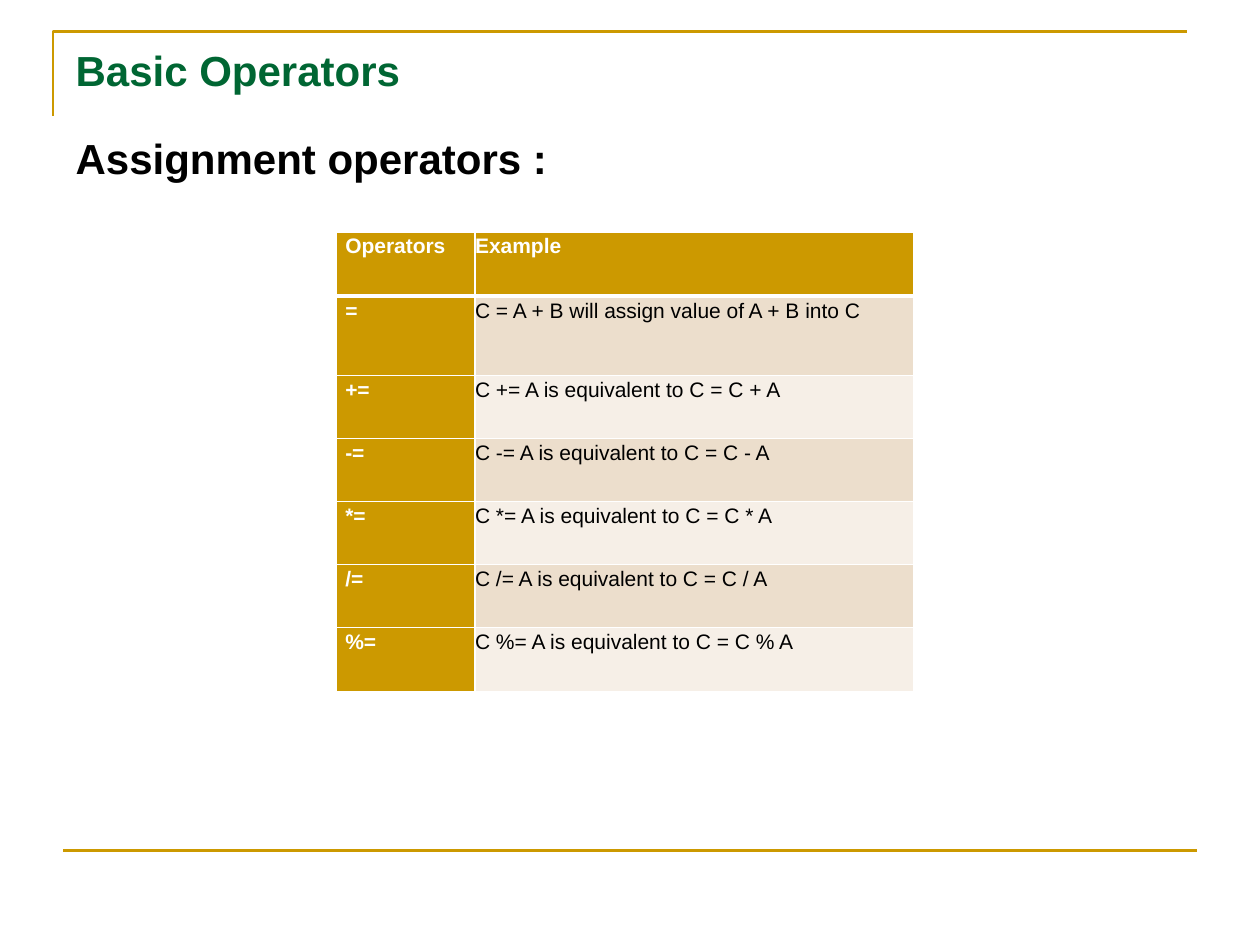
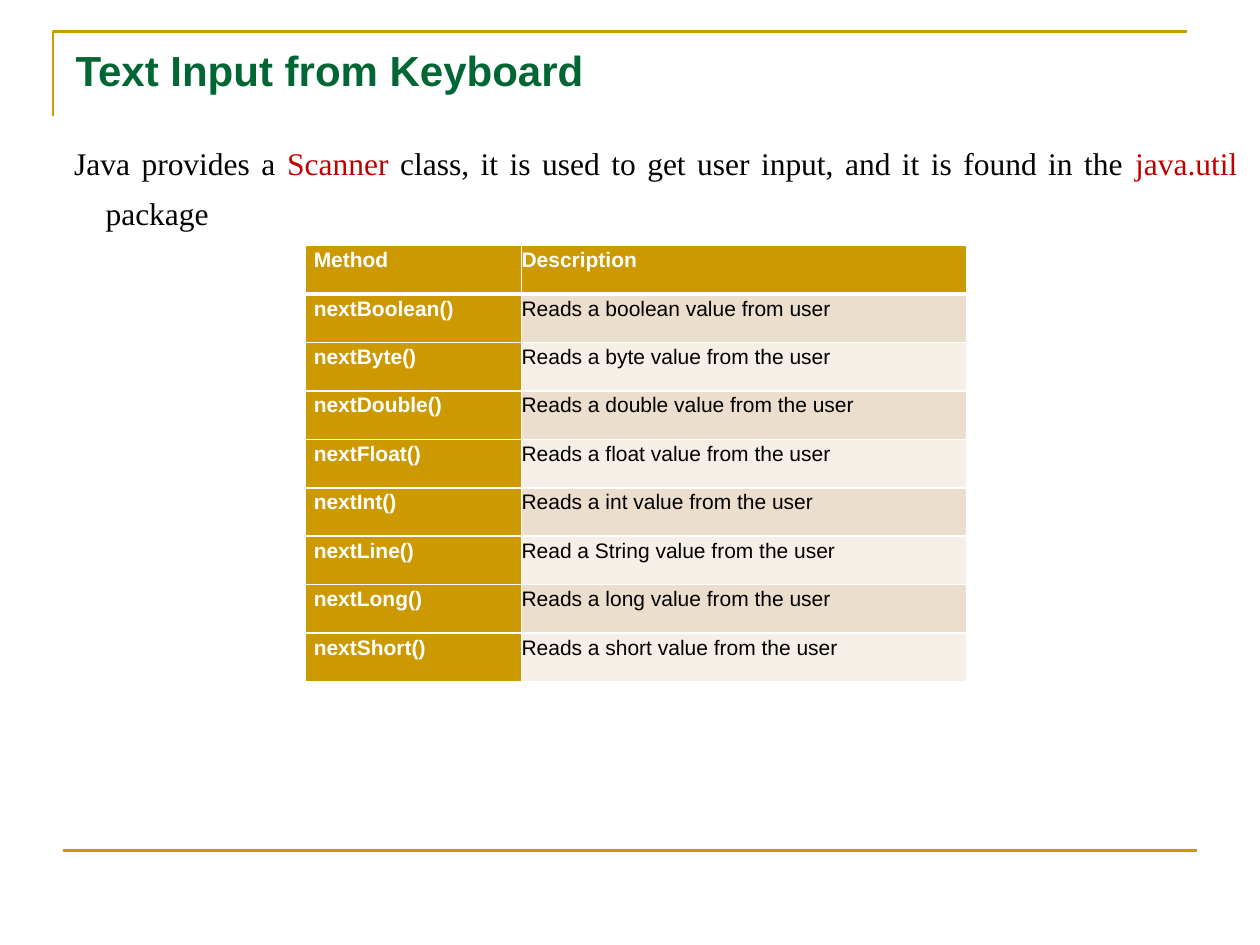
"""Build two Java lesson slides: assignment operators and keyboard input."""
from dataclasses import dataclass

from lxml.etree import SubElement
from pptx import Presentation
from pptx.dml.color import RGBColor
from pptx.enum.shapes import MSO_CONNECTOR
from pptx.enum.text import MSO_ANCHOR, MSO_AUTO_SIZE, PP_ALIGN
from pptx.oxml.ns import qn
from pptx.util import Inches, Pt


@dataclass(frozen=True)
class Theme:
    gold: str = "CC9900"
    green: str = "006633"
    red: str = "C00000"
    black: str = "000000"
    white: str = "FFFFFF"
    bands: tuple = ("ECDECC", "F6EFE7")
    sans: str = "Arial"
    serif: str = "Times New Roman"
    heading: int = 24
    prose: int = 18
    cell: int = 12
    rule: float = 1.5
    border: int = 1
    header_border: int = 3


class Deck:
    def __init__(self, prs, theme):
        self.prs = prs
        self.theme = theme
        self.s = None

    def slide(self, layout, title):
        self.s = self.prs.slides.add_slide(self.prs.slide_layouts.get_by_name(layout))
        self.frame()
        self.heading(self.s.shapes.title, title, (0.5, 0.3, 9, 1.2), self.theme.green)

    def frame(self):
        builder = self.s.shapes.build_freeform(Inches(0.42), Inches(0.92))
        builder.add_line_segments(
            [(Inches(0.42), Inches(0.25)), (Inches(9.42), Inches(0.25))], close=False)
        corner = builder.convert_to_shape()
        corner.fill.background()
        corner.shadow.inherit = False
        footer = self.s.shapes.add_connector(
            MSO_CONNECTOR.STRAIGHT, Inches(0.5), Inches(6.75), Inches(9.5), Inches(6.75))
        SubElement(footer._element.spPr, qn("a:effectLst"))
        for sp in (corner, footer):
            sp.line.color.rgb = RGBColor.from_string(self.theme.gold)
            sp.line.width = Pt(self.theme.rule)

    def font(self, font, size, color, name, bold=False):
        font.size = Pt(size)
        font.name = name
        font.bold = bold
        font.color.rgb = RGBColor.from_string(color)

    def indent(self, p, left, first=0):
        pPr = p._p.get_or_add_pPr()
        pPr.set("marL", str(Inches(left)))
        pPr.set("indent", str(Inches(first)))
        return pPr

    def heading(self, sp, text, box, color):
        sp.left, sp.top, sp.width, sp.height = map(Inches, box)
        tf = sp.text_frame
        tf.text = text
        tf.vertical_anchor = MSO_ANCHOR.TOP
        tf.auto_size = MSO_AUTO_SIZE.NONE
        p = tf.paragraphs[0]
        p.alignment = PP_ALIGN.LEFT
        self.font(p.font, self.theme.heading, color, self.theme.sans, True)
        return p

    def body(self, text):
        p = self.heading(self.s.placeholders[1], text, (0.5, 1, 8.92, 5.75), self.theme.black)
        p.space_before = Pt(0)
        pPr = self.indent(p, 0)
        pPr.insert_element_before(pPr.makeelement(qn("a:buNone")), "a:tabLst", "a:defRPr", "a:extLst")

    def prose(self, parts, box):
        tf = self.s.shapes.add_textbox(*map(Inches, box)).text_frame
        tf.word_wrap = True
        p = tf.paragraphs[0]
        p.alignment = PP_ALIGN.JUSTIFY
        p.line_spacing = 1.32
        p.space_after = Pt(5.5)
        self.indent(p, 0.49, -0.25)
        for text, color in parts:
            r = p.add_run()
            r.text = text
            self.font(r.font, self.theme.prose, color, self.theme.serif)

    def borders(self, cell, row):
        widths = {side: self.theme.border for side in ("lnL", "lnR", "lnT", "lnB")}
        if row < 2:
            widths["lnT" if row else "lnB"] = self.theme.header_border
        tcPr = cell._tc.get_or_add_tcPr()
        for side, width in widths.items():
            ln = SubElement(tcPr, qn(f"a:{side}"), w=str(Pt(width)))
            fill = SubElement(ln, qn("a:solidFill"))
            SubElement(fill, qn("a:srgbClr"), val=self.theme.white)

    def cell(self, cell, text, row, col):
        accent = row == 0 or col == 0
        self.borders(cell, row)
        cell.fill.solid()
        cell.fill.fore_color.rgb = RGBColor.from_string(
            self.theme.gold if accent else self.theme.bands[(row - 1) % 2])
        cell.margin_left = cell.margin_bottom = 0
        cell.margin_top = Inches(0.01)
        cell.margin_right = Inches(0.03)
        cell.text = text
        p = cell.text_frame.paragraphs[0]
        p.line_spacing = 1.07
        self.indent(p, 0 if col else 0.07)
        color = self.theme.white if accent else self.theme.black
        self.font(p.runs[0].font, self.theme.cell, color, self.theme.sans, accent)

    def table(self, rows, left, top, widths, heights):
        table = self.s.shapes.add_table(
            len(rows), len(widths), Inches(left), Inches(top),
            Inches(sum(widths)), Inches(sum(heights))).table
        for column, width in zip(table.columns, widths):
            column.width = Inches(width)
        for i, (values, height) in enumerate(zip(rows, heights)):
            table.rows[i].height = Inches(height)
            for j, text in enumerate(values):
                self.cell(table.cell(i, j), text, i, j)


def operators_slide(deck):
    deck.slide("Title and Content", "Basic Operators")
    deck.body("Assignment operators :")
    rows = [("Operators", "Example"), ("=", "C = A + B will assign value of A + B into C")]
    rows += [(f"{op}=", f"C {op}= A is equivalent to C = C {op} A") for op in "+-*/%"]
    deck.table(rows, 2.67, 1.84, (1.1, 3.48), [0.51, 0.63] + [0.5] * 4 + [0.51])


def input_slide(deck):
    black, red = deck.theme.black, deck.theme.red
    deck.slide("Title Only", "Text Input from Keyboard")
    deck.prose([
        ("Java provides a ", black),
        ("Scanner ", red),
        ("class, it is used to get user input, and it is found in the ", black),
        ("java.util ", red),
        ("package", black),
    ], (0.25, 1, 9.67, 1.75))
    rows = [
        ("Method", "Description"),
        ("nextBoolean()", "Reads a boolean value from user"),
        ("nextByte()", "Reads a byte value from the user"),
        ("nextDouble()", "Reads a double value from the user"),
        ("nextFloat()", "Reads a float value from the user"),
        ("nextInt()", "Reads a int value from the user"),
        ("nextLine()", "Read a String value from the user"),
        ("nextLong()", "Reads a long value from the user"),
        ("nextShort()", "Reads a short value from the user"),
    ]
    deck.table(rows, 2.42, 1.95, (1.72, 3.53), [3.46 / len(rows)] * len(rows))


def main():
    prs = Presentation()
    prs.slide_width, prs.slide_height = Inches(10), Inches(7.5)
    deck = Deck(prs, Theme())
    operators_slide(deck)
    input_slide(deck)
    prs.save("out.pptx")


if __name__ == "__main__":
    main()
